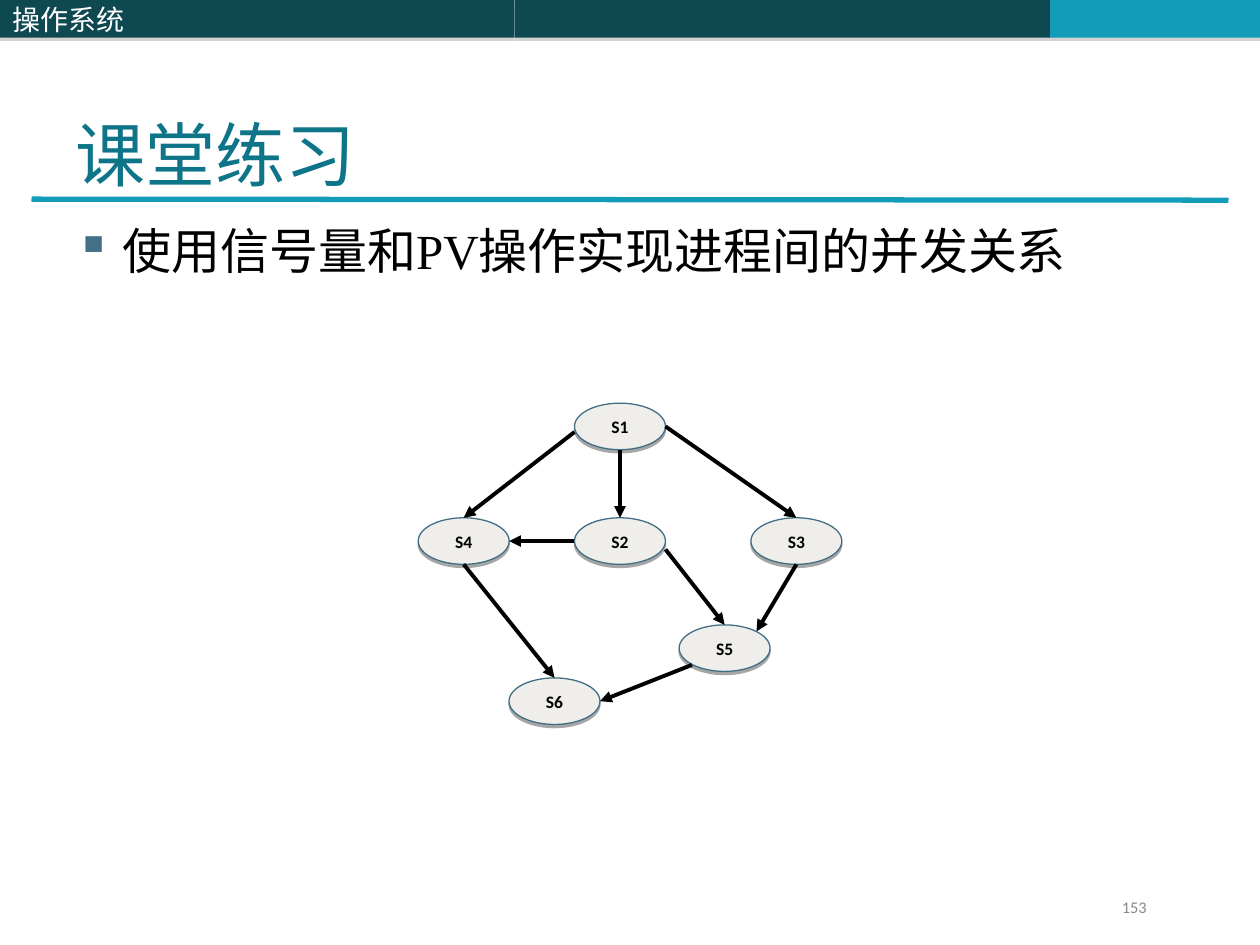
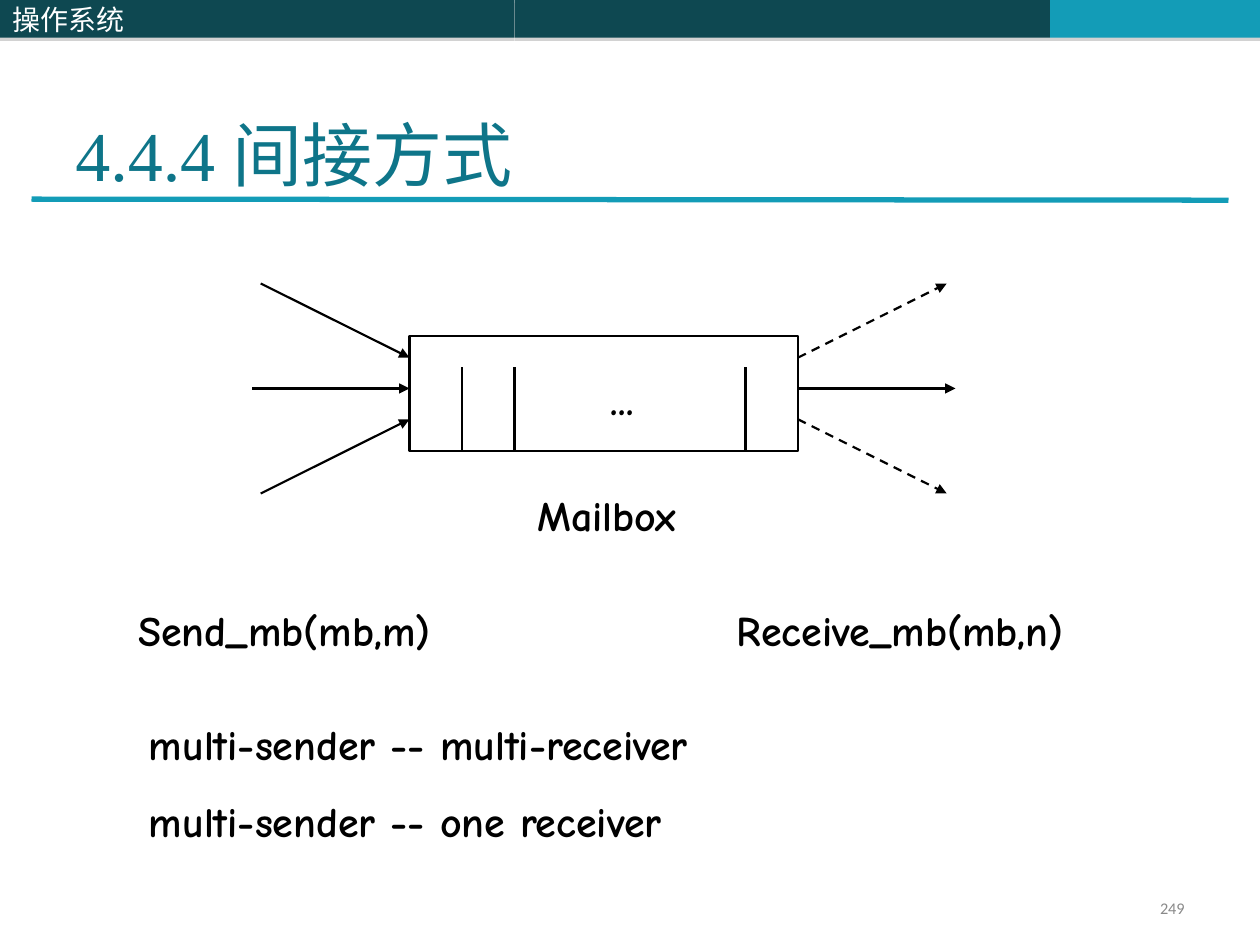
from lxml import etree
from pptx import Presentation
from pptx.dml.color import RGBColor
from pptx.enum import dml, shapes, text
from pptx.oxml import ns
from pptx.util import Pt

DARK_TEAL = RGBColor(0x0E, 0x48, 0x51)
CYAN = RGBColor(0x13, 0x9C, 0xB7)
TITLE_TEAL = RGBColor(0x0E, 0x75, 0x89)
BULLET_BLUE = RGBColor(0x43, 0x70, 0x85)
NODE_FILL = RGBColor(0xF0, 0xEE, 0xEB)
NODE_LINE = RGBColor(0x40, 0x6E, 0x84)
GREY = RGBColor(0x80, 0x80, 0x80)
NUMBER_GREY = RGBColor(0x89, 0x89, 0x89)
BLACK = RGBColor(0, 0, 0)
WHITE = RGBColor(0xFF, 0xFF, 0xFF)

CJK = "Noto Sans CJK SC"
SERIF = "Times New Roman"
SANS = "Calibri"
COMIC = "Comic Neue"

NODE_W, NODE_H = 52, 26.6
NODES = {
    "S1": (328.3, 230.4), "S2": (328.3, 295.9), "S4": (239, 295.9),
    "S3": (429.1, 295.9), "S5": (388.1, 357.1), "S6": (290.9, 387.4),
}
# Points on a node's outline, as fractions of its width and height
TOP, LEFT, BOTTOM, RIGHT = (0.5, 0), (0, 0.5), (0.5, 1), (1, 0.5)
LOWER_LEFT, LOWER_RIGHT = (0, 0.62), (1, 0.68)
CORNER_TOP_RIGHT, CORNER_BOTTOM_LEFT = (0.85, 0.14), (0.14, 0.86)
PRECEDENCE = [
    ("S1", BOTTOM, "S2", TOP), ("S1", RIGHT, "S3", TOP),
    ("S1", LOWER_LEFT, "S4", TOP), ("S2", LEFT, "S4", RIGHT),
    ("S2", LOWER_RIGHT, "S5", TOP), ("S3", BOTTOM, "S5", CORNER_TOP_RIGHT),
    ("S4", BOTTOM, "S6", TOP), ("S5", CORNER_BOTTOM_LEFT, "S6", RIGHT),
]


def add_xml(parent, tag, **attributes):
    return etree.SubElement(parent, ns.qn(tag), attributes)


def write(shape, lines, font, size, color, bold=False, align=text.PP_ALIGN.LEFT,
          anchor=text.MSO_ANCHOR.TOP, inset_y=3.6, gap=0):
    """Fill a shape with evenly formatted paragraphs, gap points apart."""
    frame = shape.text_frame
    frame.text = lines
    frame.word_wrap = True
    frame.vertical_anchor = anchor
    frame.margin_left = frame.margin_right = Pt(7.2)
    frame.margin_top = frame.margin_bottom = Pt(inset_y)
    for index, paragraph in enumerate(frame.paragraphs):
        paragraph.alignment = align
        if index:
            paragraph.space_before = Pt(gap)
        for run in paragraph.runs:
            run.font.name, run.font.size, run.font.bold = font, Pt(size), bold
            run.font.color.rgb = color
            add_xml(run.font._element, "a:ea", typeface=CJK)
    return frame.paragraphs[0]


def add_label(slide, box, lines, *style, fill=None, **options):
    label = slide.shapes.add_textbox(*map(Pt, box))
    if fill is not None:
        label.fill.solid()
        label.fill.fore_color.rgb = fill
    return write(label, lines, *style, **options)


def add_block(slide, kind, box, fill, outline=None, weight=0.75, shadow=None):
    """Add a filled shape, with a thin shadow below it if a colour is given."""
    block = slide.shapes.add_shape(kind, *map(Pt, box))
    block.fill.solid()
    block.fill.fore_color.rgb = fill
    if outline is None:
        block.line.fill.background()
    else:
        block.line.color.rgb = outline
        block.line.width = Pt(weight)
    block.shadow.inherit = False
    if shadow is not None:
        effects = block._element.spPr.find(ns.qn("a:effectLst"))
        outer = add_xml(effects, "a:outerShdw", blurRad="0", dist=str(Pt(1.8)),
                        dir="5400000", algn="ctr", rotWithShape="0")
        tint = add_xml(outer, "a:srgbClr", val=str(shadow))
        add_xml(tint, "a:alpha", val="35000")
    return block


def add_line(slide, start, end, weight, color=BLACK, arrow=False, dashed=False):
    line = slide.shapes.add_connector(
        shapes.MSO_CONNECTOR.STRAIGHT, *map(Pt, (*start, *end)))
    line.line.color.rgb = color
    line.line.width = Pt(weight)
    if dashed:
        line.line.dash_style = dml.MSO_LINE.DASH
    if arrow:
        add_xml(line.line._get_or_add_ln(), "a:tailEnd", type="triangle")
    add_xml(line._element.spPr, "a:effectLst")
    return line


def add_titled_slide(deck, title):
    """Add a slide with the header band, the title and its rule."""
    slide = deck.slides.add_slide(deck.slide_layouts[6])
    course = None
    for left, width, fill in ((294, 306, DARK_TEAL), (600, 120, CYAN),
                              (0, 294, DARK_TEAL)):
        course = add_block(slide, shapes.MSO_SHAPE.RECTANGLE,
                           (left, 0, width, 21.6), fill, shadow=GREY)
    write(course, "操作系统", CJK, 16, WHITE, anchor=text.MSO_ANCHOR.MIDDLE)
    add_line(slide, (18, 113.8), (702, 114.4), 3, CYAN)
    add_label(slide, (36, 21.6, 648, 90), title, SERIF, 40, TITLE_TEAL,
              anchor=text.MSO_ANCHOR.BOTTOM, inset_y=0)
    return slide


def add_page_number(slide, left, top, number, **options):
    paragraph = add_label(slide, (left, top, 168, 19.4), number, SANS, 9.3,
                          NUMBER_GREY, **options)
    paragraph.line_spacing = 0.8
    return paragraph


def add_bullet(paragraph, indent):
    properties = paragraph._p.get_or_add_pPr()
    properties.set("marL", str(Pt(indent)))
    properties.set("indent", str(-Pt(indent)))
    add_xml(add_xml(properties, "a:buClr"), "a:srgbClr", val=str(BULLET_BLUE))
    add_xml(properties, "a:buChar", char="▪")


def outline_point(node, fraction):
    left, top = NODES[node]
    return left + NODE_W * fraction[0], top + NODE_H * fraction[1]


def add_precedence_graph(slide):
    ovals = {}
    for name, corner in NODES.items():
        ovals[name] = add_block(slide, shapes.MSO_SHAPE.OVAL,
                                (*corner, NODE_W, NODE_H), NODE_FILL,
                                NODE_LINE, shadow=BLACK)
        write(ovals[name], name, SANS, 10, BLACK, bold=True,
              align=text.PP_ALIGN.CENTER, anchor=text.MSO_ANCHOR.MIDDLE)
    for before, exit_side, after, entry_side in PRECEDENCE:
        edge = add_line(slide, outline_point(before, exit_side),
                        outline_point(after, entry_side), 2.25, arrow=True)
        if entry_side == TOP:
            edge.end_connect(ovals[after], 0)


def add_mailbox(slide):
    left, right, middle = 234, 456, 222
    add_block(slide, shapes.MSO_SHAPE.RECTANGLE, (left, 192, right - left, 66),
              WHITE, BLACK, 1.25)
    for far_offset, near_offset, reach in ((-60, -17.6, 85), (0, 0, 90),
                                           (60, 17.6, 85)):
        far, near = middle + far_offset, middle + near_offset
        add_line(slide, (left - reach, far), (left, near), 1.25, arrow=True)
        add_line(slide, (right, near), (right + reach, far), 1.25, arrow=True,
                 dashed=far_offset != 0)
    for divider in (264, 294, 426):
        add_line(slide, (divider, 210), (divider, 258), 1.25)
    add_label(slide, (342, 210, 36, 36), "...", COMIC, 24, BLACK, bold=True,
              fill=WHITE)


def build_exercise(deck):
    slide = add_titled_slide(deck, "课堂练习")
    number = add_page_number(slide, 540, 511.2, "153")
    number._p.get_or_add_pPr().set("marL", str(Pt(94)))
    task = add_label(slide, (36, 126, 648, 390),
                     "使用信号量和PV操作实现进程间的并发关系",
                     SERIF, 28, BLACK, inset_y=0)
    add_bullet(task, 27)
    add_precedence_graph(slide)


def build_indirect_communication(deck):
    slide = add_titled_slide(deck, "4.4.4 间接方式")
    add_page_number(slide, 516, 510, "249", align=text.PP_ALIGN.RIGHT,
                    anchor=text.MSO_ANCHOR.MIDDLE)
    add_mailbox(slide)
    for box, caption in (
        ((300, 276, 114, 36), "Mailbox"),
        ((72, 342, 234, 36), "Send_mb(mb,m)"),
        ((414, 342, 246, 36), "Receive_mb(mb,n)"),
        ((78, 407, 546, 80),
         "multi-sender -- multi-receiver\nmulti-sender -- one receiver"),
    ):
        add_label(slide, box, caption, COMIC, 24, BLACK, bold=True, gap=15)


def main():
    deck = Presentation()
    deck.slide_width, deck.slide_height = Pt(720), Pt(540)
    build_exercise(deck)
    build_indirect_communication(deck)
    deck.save("out.pptx")


if __name__ == "__main__":
    main()
